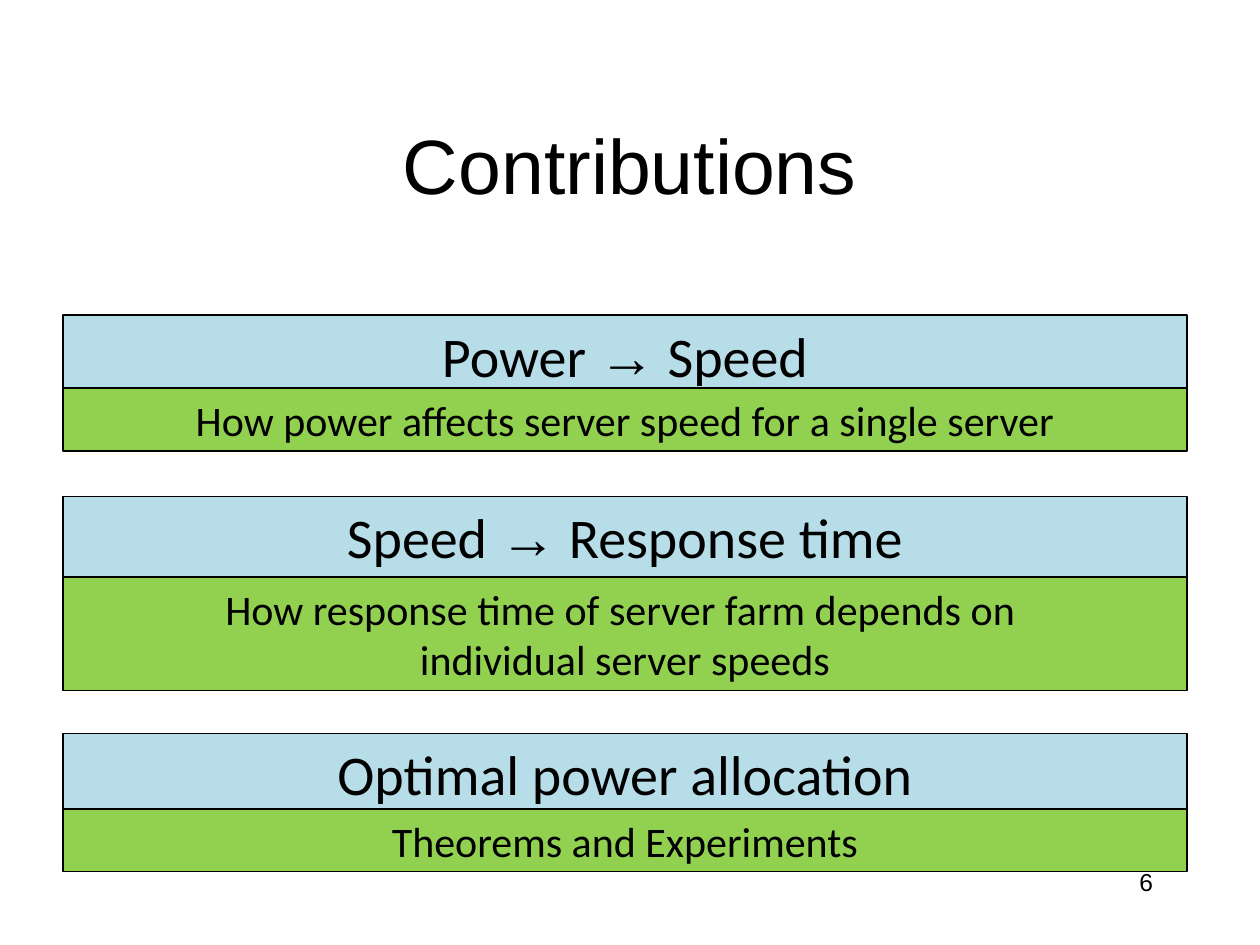
"""Build the contributions slide on a fine grid of equal cells."""
from dataclasses import dataclass

import pptx
import pptx.dml.color
import pptx.enum.shapes
import pptx.enum.text
import pptx.util

COLS, ROWS = 500, 375
CELL = pptx.util.Inches(0.02)
LEFT, WIDE = 25, 446
HEAD = 32
BLACK, BLUE, GREEN = "000000", "B7DEE8", "92D050"
ALIGN = pptx.enum.text.PP_ALIGN
ANCHOR = pptx.enum.text.MSO_ANCHOR
FIT = pptx.enum.text.MSO_AUTO_SIZE


@dataclass
class Box:
    """Place and size in grid cells."""
    col: float
    row: float
    wide: float
    high: float

    def place(self) -> list[int]:
        """Return left, top, width and height as lengths."""
        return [int(n * CELL) for n in (self.col, self.row, self.wide, self.high)]


@dataclass
class Card:
    """A heading bar with a detail bar below it."""
    row: int
    head: str
    low: int
    high: int
    text: str


CARDS = [
    Card(125, "Power → Speed", 154, 25,
         "How power affects server speed for a single server"),
    Card(197, "Speed → Response time", 229, 45,
         "How response time of server farm depends on \nindividual server speeds"),
    Card(291, "Optimal power allocation", 321, 25, "Theorems and Experiments"),
]


def color(code: str) -> pptx.dml.color.RGBColor:
    """Turn a hex string into a colour."""
    return pptx.dml.color.RGBColor.from_string(code)


def write(frame, text: str, *, size: int, font: str = "Calibri",
          align=ALIGN.CENTER, anchor=ANCHOR.TOP, fit=FIT.NONE) -> None:
    """Fill a text frame, setting arrows in Arial."""
    frame.word_wrap = True
    frame.auto_size = fit
    frame.vertical_anchor = anchor
    for i, line in enumerate(text.split("\n")):
        para = frame.add_paragraph() if i else frame.paragraphs[0]
        para.alignment = align
        for part in line.replace("→", "|→|").split("|"):
            run = para.add_run()
            run.text = part
            run.font.name = "Arial" if part == "→" else font
            run.font.size = pptx.util.Pt(size)
            run.font.color.rgb = color(BLACK)


def bar(slide, box: Box, fill: str, text: str, size: int) -> None:
    """Draw a filled, outlined bar with text."""
    shape = slide.shapes.add_shape(
        pptx.enum.shapes.MSO_SHAPE.RECTANGLE, *box.place())
    shape.shadow.inherit = False
    shape.fill.solid()
    shape.fill.fore_color.rgb = color(fill)
    shape.line.color.rgb = color(BLACK)
    shape.line.width = pptx.util.Pt(0.75)
    write(shape.text_frame, text, size=size, fit=FIT.SHAPE_TO_FIT_TEXT)


def label(slide, box: Box, text: str, **form) -> None:
    """Add a plain text box."""
    write(slide.shapes.add_textbox(*box.place()).text_frame, text, **form)


def main() -> None:
    """Build and save the slide."""
    deck = pptx.Presentation()
    deck.slide_width, deck.slide_height = COLS * CELL, ROWS * CELL
    slide = deck.slides.add_slide(deck.slide_layouts[6])
    label(slide, Box(37.5, 33.5, 425, 62.5), "Contributions",
          size=44, font="Arial", anchor=ANCHOR.MIDDLE)
    for card in CARDS:
        bar(slide, Box(LEFT, card.row, WIDE, HEAD), BLUE, card.head, 32)
        bar(slide, Box(LEFT, card.low, WIDE, card.high), GREEN, card.text, 24)
    label(slide, Box(358.5, 341.5, 104, 25), "6",
          size=14, font="Arial", align=ALIGN.RIGHT)
    deck.save("out.pptx")


if __name__ == "__main__":
    main()
